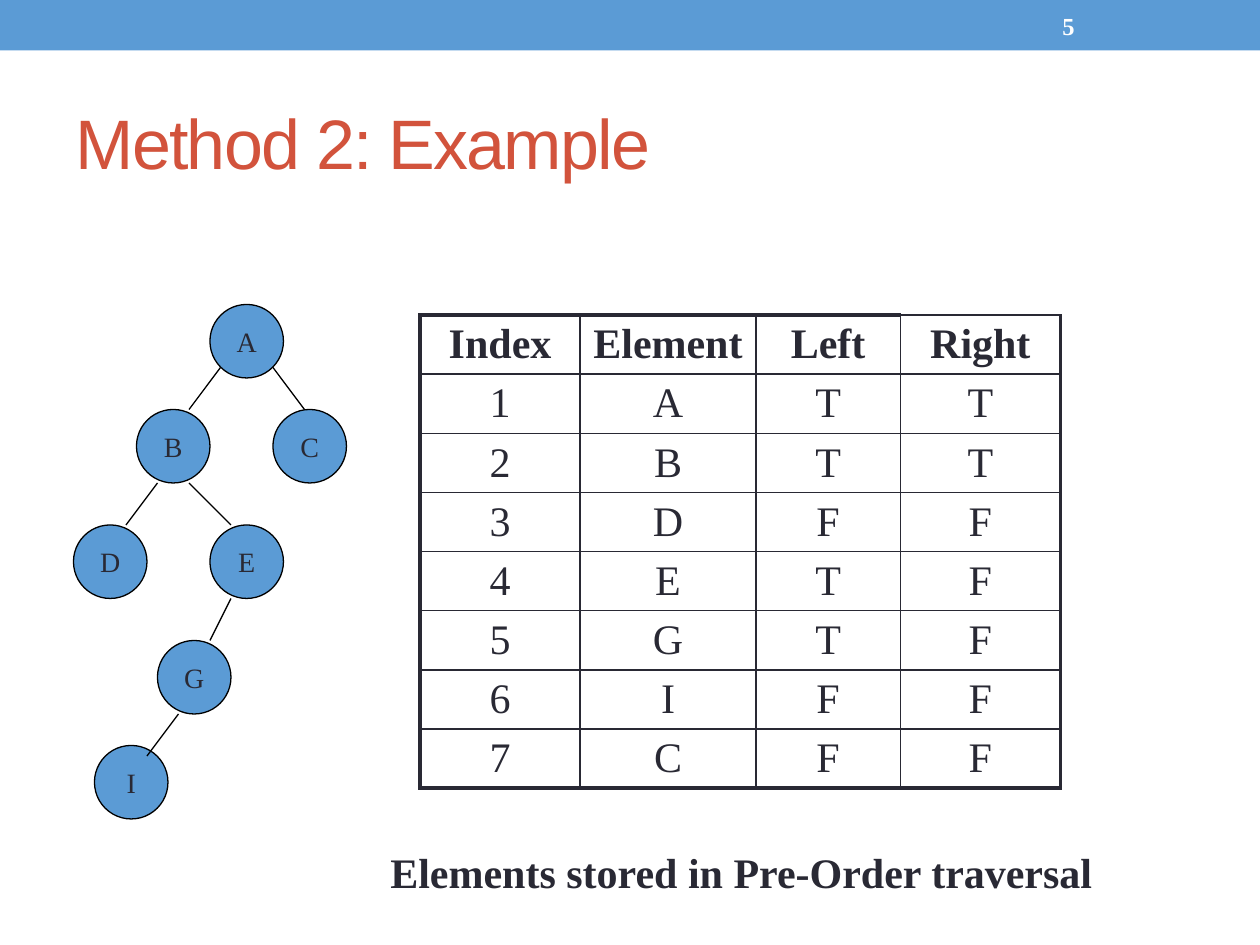
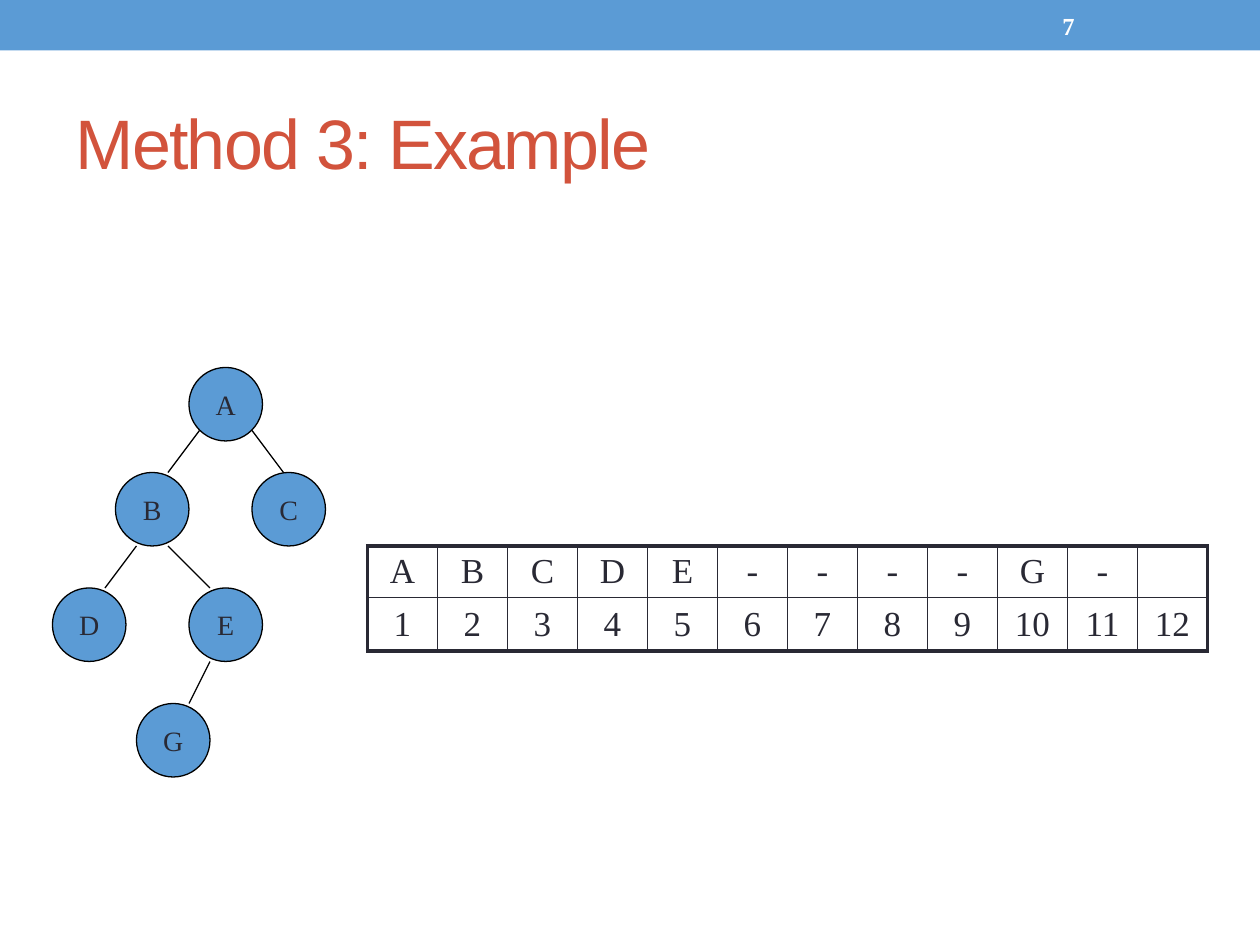
import pptx
import pptx.dml.color
import pptx.enum.shapes
import pptx.enum.text
import pptx.oxml.ns
import pptx.util
from lxml import etree

Pt = pptx.util.Pt
ALIGN = pptx.enum.text.PP_ALIGN
MIDDLE = pptx.enum.text.MSO_ANCHOR.MIDDLE
SHAPE = pptx.enum.shapes.MSO_SHAPE
STRAIGHT = pptx.enum.shapes.MSO_CONNECTOR.STRAIGHT
TITLE_ONLY = 5

NODE_SIZE = 42
NODE_OFFSETS = {
    "A": (0, 0), "D": (-78, 126), "B": (-42, 60), "C": (36, 60),
    "E": (0, 126), "G": (-30, 192), "I": (-66, 252),
}
BRANCHES = {
    "B": (6, 36, -12, 60), "C": (36, 36, 54, 60),
    "D": (-30, 102, -48, 126), "E": (-12, 102, 12, 126),
    "G": (12, 168, 0, 192), "I": (-18, 234, -36, 258),
}


def color(value):
    return pptx.dml.color.RGBColor.from_string(value)


def add_child(parent, tag, **attributes):
    return etree.SubElement(parent, pptx.oxml.ns.qn(tag), attributes)


class Deck:
    serif, sans = "Times New Roman", "Arial"
    blue, red, ink, black, white = "5B9BD5", "D2533C", "292934", "000000", "FFFFFF"
    thin, thick = 0.96, 2.21

    def __init__(self):
        self.presentation = pptx.Presentation()
        self.presentation.slide_width = Pt(720)
        self.presentation.slide_height = Pt(540)
        self.slide = None

    def add_slide(self, title, number):
        layout = self.presentation.slide_layouts[TITLE_ONLY]
        self.slide = self.presentation.slides.add_slide(layout)
        band = self.slide.shapes.add_shape(SHAPE.RECTANGLE, 0, 0, Pt(720), Pt(28.8))
        self.style_shape(band)
        band.line.fill.background()
        self.title(title)
        self.text_box(number, (600, 1.5, 84, 26), 14, self.white)

    def add_text(self, frame, text, size, tint, font=None, bold=False, align=ALIGN.LEFT):
        frame.vertical_anchor = MIDDLE
        paragraph = frame.paragraphs[0]
        paragraph.alignment = align
        run = paragraph.add_run()
        run.text = text
        run.font.name = font or self.serif
        run.font.size = Pt(size)
        run.font.bold = bold
        run.font.color.rgb = color(tint)
        return run

    def title(self, text):
        shape = self.slide.shapes.title
        shape.left, shape.top, shape.width, shape.height = map(Pt, (36, 42, 648, 78))
        shape.text_frame.auto_size = pptx.enum.text.MSO_AUTO_SIZE.NONE
        run = self.add_text(shape.text_frame, text, 40, self.red, self.sans)
        run.font._element.set("spc", "-100")

    def text_box(self, text, box, size, tint, wrap=True):
        shape = self.slide.shapes.add_textbox(*map(Pt, box))
        shape.text_frame.word_wrap = wrap
        self.add_text(shape.text_frame, text, size, tint, bold=True)

    def style_shape(self, shape):
        shape.shadow.inherit = False
        shape.fill.solid()
        shape.fill.fore_color.rgb = color(self.blue)

    def style_line(self, line):
        line.color.rgb = color(self.black)
        line.width = Pt(0.75)

    def node(self, shapes, label, left, top):
        circle = shapes.add_shape(
            SHAPE.OVAL, Pt(left), Pt(top), Pt(NODE_SIZE), Pt(NODE_SIZE))
        self.style_shape(circle)
        self.style_line(circle.line)
        circle.text_frame.word_wrap = False
        self.add_text(circle.text_frame, label, 16, self.ink, align=ALIGN.CENTER)

    def branch(self, shapes, points):
        connector = shapes.add_connector(STRAIGHT, *map(Pt, points))
        self.style_line(connector.line)
        add_child(connector._element.spPr, "a:effectLst")

    def tree(self, labels, left, top):
        shapes = self.slide.shapes.add_group_shape().shapes
        for label, (across, down) in NODE_OFFSETS.items():
            if label in labels:
                self.node(shapes, label, left + across, top + down)
        for child, (x1, y1, x2, y2) in BRANCHES.items():
            if child in labels:
                self.branch(shapes, (left + x1, top + y1, left + x2, top + y2))

    def border(self, cell, side, width):
        line = add_child(cell._tc.get_or_add_tcPr(), f"a:ln{side}", w=str(Pt(width)))
        add_child(add_child(line, "a:solidFill"), "a:srgbClr", val=self.ink)

    def table(self, rows, left, top, widths, heights, size, header=False, thin_edges=()):
        frame = self.slide.shapes.add_table(
            len(rows), len(widths), Pt(left), Pt(top), Pt(sum(widths)), Pt(sum(heights)))
        table = frame.table
        table.first_row = table.horz_banding = False
        for column, width in zip(table.columns, widths):
            column.width = Pt(width)
        for row, height in zip(table.rows, heights):
            row.height = Pt(height)
        for i, values in enumerate(rows):
            for j, value in enumerate(values):
                cell = table.cell(i, j)
                cell.margin_left = cell.margin_right = 0
                cell.margin_top = cell.margin_bottom = 0
                cell.vertical_anchor = MIDDLE
                outer = {"L": j == 0, "R": j == len(widths) - 1,
                         "T": i == 0, "B": i == len(rows) - 1}
                for side, is_outer in outer.items():
                    heavy = is_outer and (i, j, side) not in thin_edges
                    self.border(cell, side, self.thick if heavy else self.thin)
                cell.fill.background()
                if value:
                    self.add_text(cell.text_frame, value, size, self.ink,
                                  bold=header and i == 0, align=ALIGN.CENTER)


def main():
    deck = Deck()

    deck.add_slide("Method 2: Example", "5")
    deck.tree("ABCDEGI", 120, 174)
    child_flags = ["ATT", "BTT", "DFF", "ETF", "GTF", "IFF", "CFF"]
    rows = [["Index", "Element", "Left", "Right"]]
    rows += [[str(index), *flags] for index, flags in enumerate(child_flags, 1)]
    deck.table(rows, 240, 180, [91.5, 100.5, 82.5, 91.5], [33.8] * len(rows), 24,
               header=True, thin_edges={(0, 3, "T")})
    deck.text_box("Elements stored in Pre-Order traversal", (216, 480, 416, 36),
                  24, deck.ink, wrap=False)

    deck.add_slide("Method 3: Example", "7")
    deck.tree("ABCDEG", 108, 210)
    elements = [*"ABCDE----G-", ""]
    positions = [str(position) for position in range(1, len(elements) + 1)]
    deck.table([elements, positions], 210, 312, [40] * len(elements), [29.5, 30.5], 20)

    deck.presentation.save("out.pptx")


if __name__ == "__main__":
    main()
